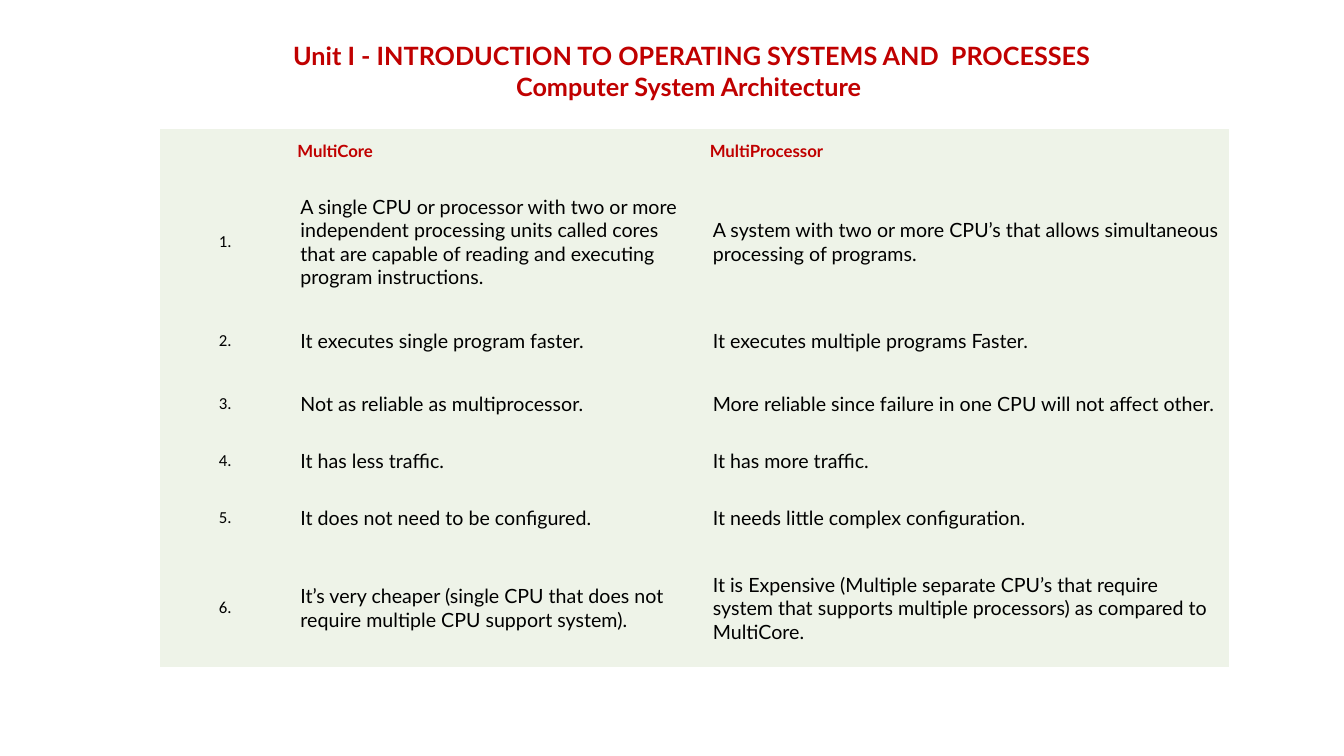
"""Build a slide comparing multicore and multiprocessor systems in a table."""
import pptx
import pptx.dml.color
import pptx.enum.text
import pptx.util
from pptx.util import Inches

COLORS = {"heading": "C00000", "body": "000000", "cell": "EEF3E8"}
NO_GRID_STYLE = "{2D5ABB26-0587-4C30-8999-92F81FD0307C}"
CENTER = pptx.enum.text.PP_ALIGN.CENTER
LEFT = pptx.enum.text.PP_ALIGN.LEFT
MIDDLE = pptx.enum.text.MSO_ANCHOR.MIDDLE


def format_text(paragraph, size, font_name, color, bold, align):
    paragraph.alignment = align
    for run in paragraph.runs:
        run.font.size = pptx.util.Pt(size)
        run.font.name = font_name
        run.font.bold = bold
        run.font.color.rgb = pptx.dml.color.RGBColor.from_string(COLORS[color])


deck = pptx.Presentation()
deck.slide_width = Inches(13.33)
deck.slide_height = Inches(7.5)
slide = deck.slides.add_slide(deck.slide_layouts[5])

title = slide.shapes.title
title.left, title.top = Inches(2.27), Inches(0.35)
title.width, title.height = Inches(9.18), Inches(0.71)
title.text_frame.text = (
    "Unit I - INTRODUCTION TO OPERATING SYSTEMS AND  PROCESSES\n"
    "Computer System Architecture "
)
title.text_frame.auto_size = pptx.enum.text.MSO_AUTO_SIZE.NONE
title.text_frame.vertical_anchor = MIDDLE
for line in title.text_frame.paragraphs:
    format_text(line, 18, "Lato", "heading", True, CENTER)

differences = [
    ("A single CPU or processor with two or more independent processing units "
     "called cores that are capable of reading and executing program instructions.",
     "A system with two or more CPU’s that allows simultaneous processing of programs."),
    ("It executes single program faster.", "It executes multiple programs Faster."),
    ("Not as reliable as multiprocessor.",
     "More reliable since failure in one CPU will not affect other."),
    ("It has less traffic.", "It has more traffic."),
    ("It does not need to be configured.", "It needs little complex configuration."),
    ("It’s very cheaper (single CPU that does not require multiple CPU support system).",
     "It is Expensive (Multiple separate CPU’s that require system that supports "
     "multiple processors) as compared to MultiCore."),
]
rows = [("", "MultiCore", "MultiProcessor")]
rows += [(f"{number}.", *pair) for number, pair in enumerate(differences, 1)]
column_widths = [1.29, 4.09, 5.22]
row_heights = [0.39, 1.35, 0.62, 0.62, 0.51, 0.62, 1.17]

comparison = slide.shapes.add_table(
    len(rows), len(column_widths), Inches(1.59), Inches(1.28),
    Inches(sum(column_widths)), Inches(sum(row_heights))).table
comparison.first_row = False
comparison.horz_banding = False
comparison._tbl.tblPr[0].text = NO_GRID_STYLE
for column, width in zip(comparison.columns, column_widths):
    column.width = Inches(width)

for r, (entries, height) in enumerate(zip(rows, row_heights)):
    comparison.rows[r].height = Inches(height)
    for c, entry in enumerate(entries):
        cell = comparison.cell(r, c)
        cell.fill.solid()
        cell.fill.fore_color.rgb = pptx.dml.color.RGBColor.from_string(COLORS["cell"])
        cell.vertical_anchor = MIDDLE
        cell.margin_left = cell.margin_right = Inches(0.07 if r == 0 else 0.1)
        cell.margin_top = cell.margin_bottom = Inches(0.07 if r == 0 else 0.14)
        cell.text_frame.text = entry
        paragraph = cell.text_frame.paragraphs[0]
        if r == 0:
            format_text(paragraph, 12, "Lato", "heading", True, LEFT)
        elif c == 0:
            format_text(paragraph, 12, "Calibri", "body", False, CENTER)
        else:
            format_text(paragraph, 14, "Lato", "body", False, LEFT)

deck.save("out.pptx")
